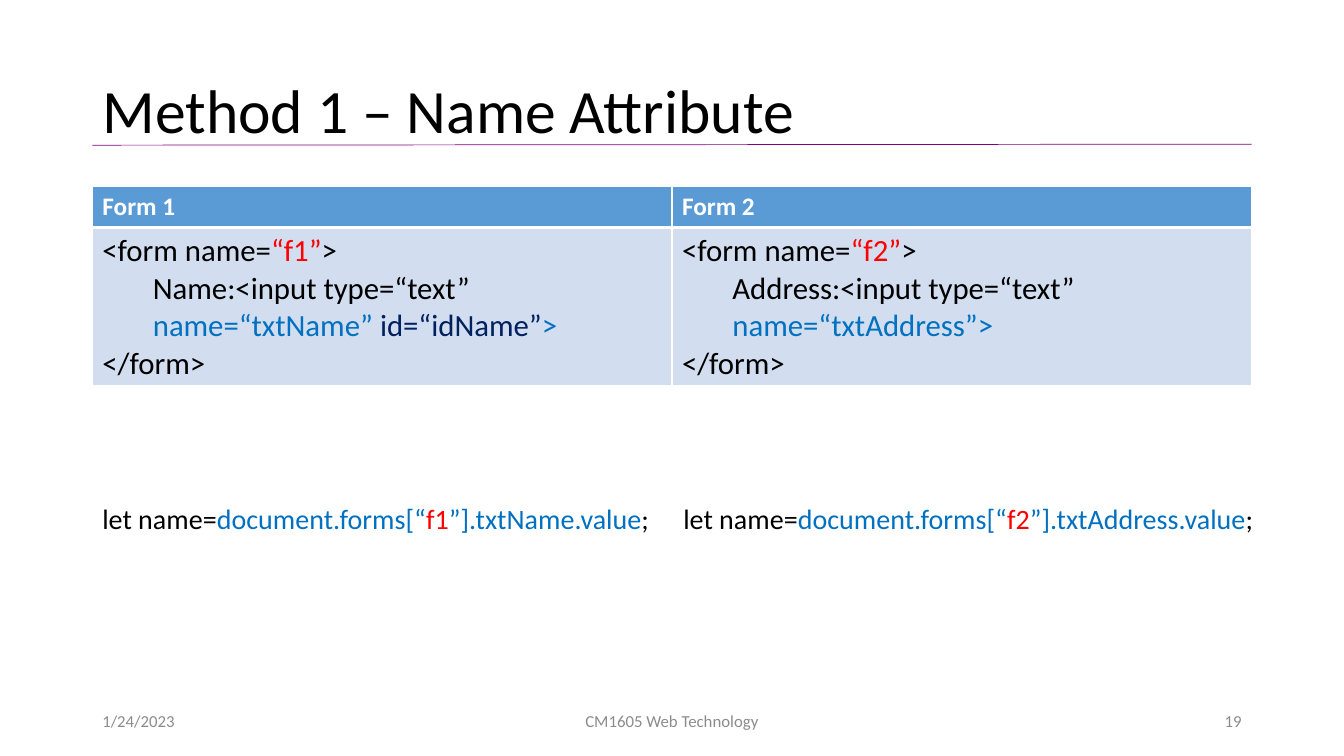
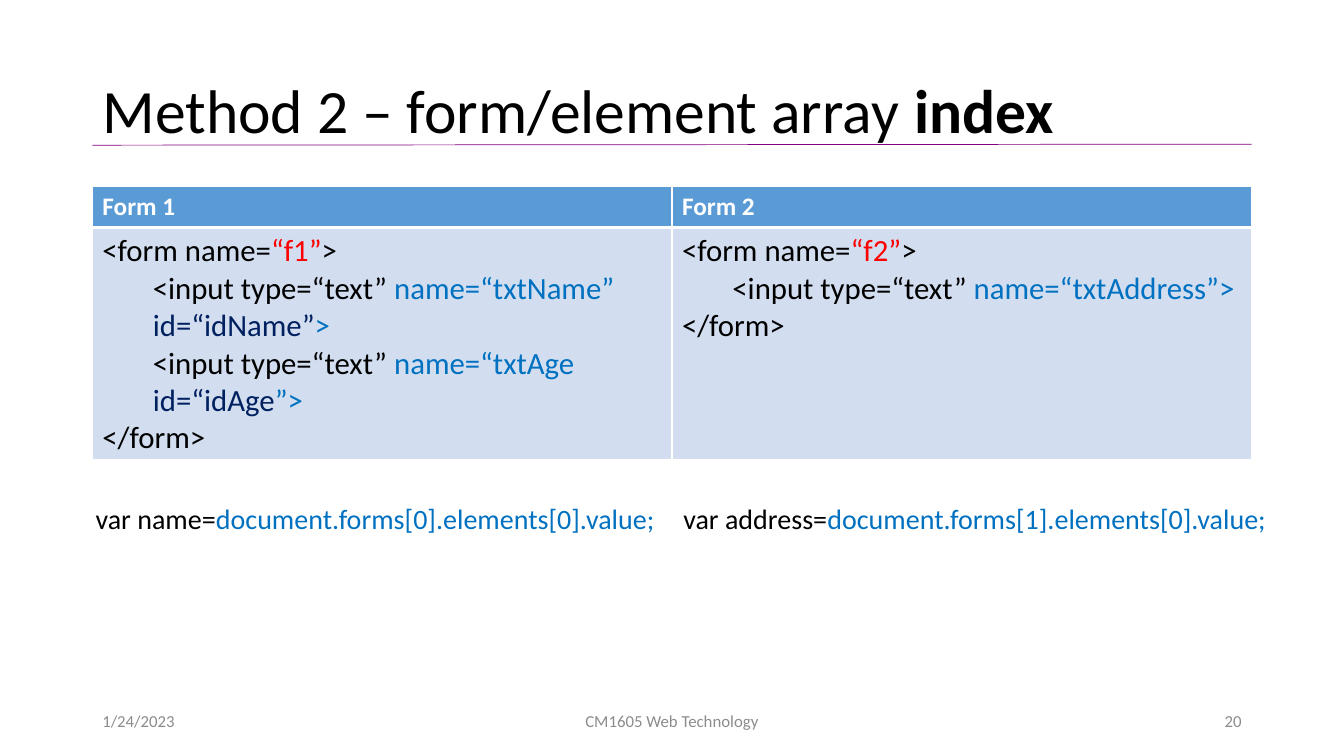
import pptx
import pptx.dml.color
import pptx.enum.shapes
import pptx.enum.text
import pptx.oxml.ns
import pptx.util
from lxml import etree

Pt = pptx.util.Pt
ALIGN = pptx.enum.text.PP_ALIGN
ANCHOR = pptx.enum.text.MSO_ANCHOR
qn = pptx.oxml.ns.qn

COLOURS = {
    "black": "000000", "white": "FFFFFF", "red": "FF0000", "blue": "0070C0",
    "navy": "002060", "purple": "800080", "grey": "8C8C8C",
    "header": "5B9BD5", "cell": "D2DEEF",
}
FONT = "Calibri"
SLIDE_WIDTH, SLIDE_HEIGHT = 960, 540
MARGIN = 66
CONTENT_WIDTH = SLIDE_WIDTH - 2 * MARGIN
TABLE_TOP, HEADER_HEIGHT = 133.2, 29.2
CODE_INDENT = 36
CODE_TOP = 355
FOOTER_TOP, FOOTER_HEIGHT = 500.5, 28.75


def rgb(name):
    """Return the named colour."""
    return pptx.dml.color.RGBColor.from_string(COLOURS[name])


def write_text(paragraph, segments, *, size, bold=False, align=ALIGN.LEFT,
               indent=0, spacing=1.0):
    """Write (text, colour[, bold]) segments as the runs of a paragraph."""
    paragraph.alignment = align
    paragraph.line_spacing = spacing
    properties = paragraph._p.get_or_add_pPr()
    properties.set("marL", str(Pt(indent)))
    properties.set("indent", "0")
    for text, colour, *emphasis in segments:
        run = paragraph.add_run()
        run.text = text
        run.font.name = FONT
        run.font.size = Pt(size)
        run.font.bold = emphasis[0] if emphasis else bold
        run.font.color.rgb = rgb(colour)


def add_text(slide, left, top, width, height, segments, *, anchor=ANCHOR.TOP,
             **text_format):
    """Add a wrapped text box with one paragraph."""
    shape = slide.shapes.add_textbox(Pt(left), Pt(top), Pt(width), Pt(height))
    shape.text_frame.word_wrap = True
    shape.text_frame.vertical_anchor = anchor
    write_text(shape.text_frame.paragraphs[0], segments, **text_format)


def add_title(slide, segments):
    """Place and fill the title, with the rule under it."""
    title = slide.shapes.title
    title.left, title.top = Pt(MARGIN), Pt(28.75)
    title.width, title.height = Pt(CONTENT_WIDTH), Pt(104.4)
    frame = title.text_frame
    frame.auto_size = pptx.enum.text.MSO_AUTO_SIZE.NONE
    frame.vertical_anchor = ANCHOR.MIDDLE
    write_text(frame.paragraphs[0], segments, size=44, spacing=0.9)

    rule = slide.shapes.add_connector(
        pptx.enum.shapes.MSO_CONNECTOR.STRAIGHT,
        Pt(MARGIN), Pt(103.7), Pt(MARGIN + CONTENT_WIDTH), Pt(103))
    rule.line.color.rgb = rgb("purple")
    rule.line.width = Pt(0.5)
    etree.SubElement(rule._element.spPr, qn("a:effectLst"))


def add_footer(slide, number):
    """Add the date, course name and slide number."""
    side, middle = 216, 324
    right = MARGIN + CONTENT_WIDTH - side
    for left, width, text, align in (
            (MARGIN, side, "1/24/2023", ALIGN.LEFT),
            ((SLIDE_WIDTH - middle) / 2, middle, "CM1605 Web Technology", ALIGN.CENTER),
            (right, side, str(number), ALIGN.RIGHT)):
        add_text(slide, left, FOOTER_TOP, width, FOOTER_HEIGHT, [(text, "grey")],
                 size=12, align=align, anchor=ANCHOR.MIDDLE)


def style_cell(cell, fill, top=1, bottom=1):
    """Give a cell white borders and a solid fill."""
    properties = cell._tc.get_or_add_tcPr()
    for side, width in (("L", 1), ("R", 1), ("T", top), ("B", bottom)):
        line = etree.SubElement(properties, qn("a:ln" + side), w=str(Pt(width)))
        solid = etree.SubElement(line, qn("a:solidFill"))
        etree.SubElement(solid, qn("a:srgbClr"), val=COLOURS["white"])
    cell.fill.solid()
    cell.fill.fore_color.rgb = rgb(fill)


def add_form_table(slide, forms, body_height):
    """Add a table with one column of markup for each form."""
    table = slide.shapes.add_table(
        2, len(forms), Pt(MARGIN), Pt(TABLE_TOP), Pt(CONTENT_WIDTH),
        Pt(HEADER_HEIGHT + body_height)).table
    table.rows[0].height = Pt(HEADER_HEIGHT)
    table.rows[1].height = Pt(body_height)
    for column, inputs in enumerate(forms):
        number = column + 1
        header, body = table.cell(0, column), table.cell(1, column)
        style_cell(header, "header", bottom=3)
        write_text(header.text_frame.paragraphs[0], [(f"Form {number}", "white")],
                   size=18, bold=True)
        style_cell(body, "cell", top=3)
        opening = [("<form name=", "black"), (f"“f{number}”", "red"), (">", "black")]
        lines = [(opening, 0), *((line, CODE_INDENT) for line in inputs),
                 ([("</form>", "black")], 0)]
        frame = body.text_frame
        for index, (segments, indent) in enumerate(lines):
            paragraph = frame.add_paragraph() if index else frame.paragraphs[0]
            write_text(paragraph, segments, size=22, indent=indent)


def add_code_pair(slide, left_code, right_code, left_edge=MARGIN):
    """Add the statement that reads each form below its column."""
    add_text(slide, left_edge, CODE_TOP, 478.8 - left_edge, 31.5, left_code, size=20)
    add_text(slide, 481, CODE_TOP, 434, 31.5, right_code, size=20)


def form_lookup(form, field):
    """Return the statement that reads a field by its form's name."""
    return [("let name=", "black"), ("document.forms[“", "blue"), (form, "red"),
            (f"”].{field}.value", "blue"), (";", "black")]


def index_lookup(variable, form):
    """Return the statement that reads the first element by index."""
    return [(f"var {variable}=", "black"),
            (f"document.forms[{form}].elements[0].value;", "blue")]


def add_slide(presentation, number, title):
    """Add a slide with its title and footer."""
    slide = presentation.slides.add_slide(presentation.slide_layouts[5])
    add_title(slide, title)
    add_footer(slide, number)
    return slide


def main():
    """Build and save the slides."""
    presentation = pptx.Presentation()
    presentation.slide_width = Pt(SLIDE_WIDTH)
    presentation.slide_height = Pt(SLIDE_HEIGHT)

    text_input = "<input type=“text” "
    name_id = [("name=“txtName” ", "blue"), ("id=“idName”", "navy"), (">", "blue")]
    address = ("name=“txtAddress”>", "blue")

    by_name = add_slide(presentation, 19, [("Method 1 – Name Attribute", "black")])
    add_form_table(by_name, [
        [[("Name:" + text_input, "black"), *name_id]],
        [[("Address:" + text_input, "black"), address]],
    ], body_height=112.6)
    add_code_pair(by_name, form_lookup("f1", "txtName"),
                  form_lookup("f2", "txtAddress"))

    by_index = add_slide(presentation, 20, [
        ("Method 2 – form/element array ", "black"), ("index", "black", True)])
    add_form_table(by_index, [
        [[(text_input, "black"), *name_id],
         [(text_input, "black"), ("name=“txtAge ", "blue"),
          ("id=“idAge", "navy"), ("”>", "blue")]],
        [[(text_input, "black"), address]],
    ], body_height=165.9)
    add_code_pair(by_index, index_lookup("name", 0), index_lookup("address", 1),
                  left_edge=61.2)

    presentation.save("out.pptx")


if __name__ == "__main__":
    main()
